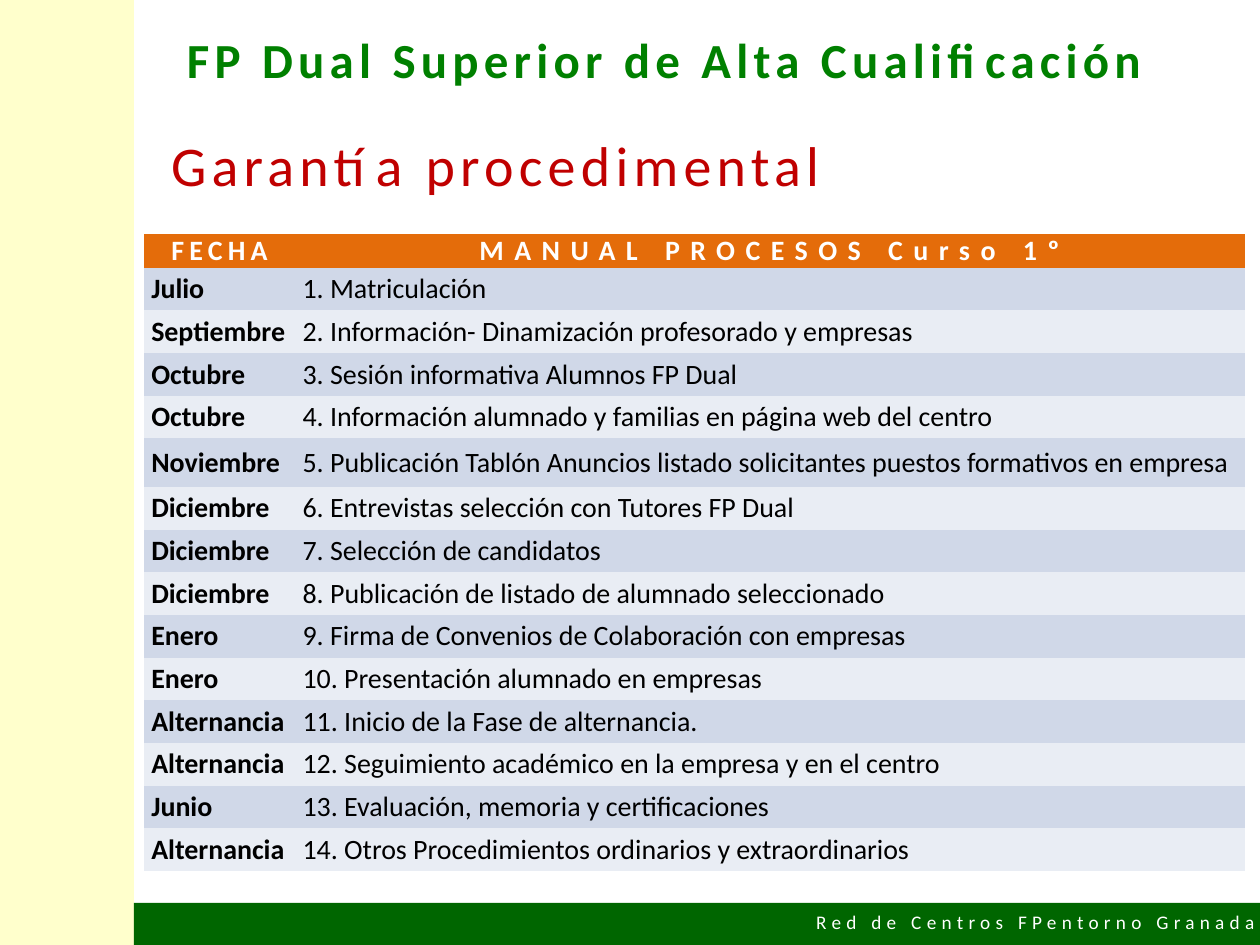
import pptx
import pptx.dml.color
import pptx.enum.shapes
import pptx.enum.text
import pptx.util
from pptx.oxml.ns import qn

Cm, Pt = pptx.util.Cm, pptx.util.Pt
RGBColor = pptx.dml.color.RGBColor
ALIGN = pptx.enum.text.PP_ALIGN
ANCHOR = pptx.enum.text.MSO_ANCHOR

CREAM = RGBColor(0xFF, 0xFF, 0xCC)
DARK_GREEN = RGBColor(0x00, 0x66, 0x00)
GREEN = RGBColor(0x00, 0x80, 0x00)
RED = RGBColor(0xC0, 0x00, 0x00)
ORANGE = RGBColor(0xE4, 0x6C, 0x0A)
WHITE = RGBColor(0xFF, 0xFF, 0xFF)
BLACK = RGBColor(0x00, 0x00, 0x00)
BANDS = (RGBColor(0xD0, 0xD8, 0xE8), RGBColor(0xE9, 0xED, 0xF4))

TITLE = "FP Dual Superior de Alta Cualificación"
SUBTITLE = "Garantía procedimental"
FOOTER = "Red de Centros FPentorno Granada"
HEADER = (("FECHA", 3), ("MANUAL PROCESOS Curso 1º", 6))
STEPS = [
    ("Julio", "Matriculación"),
    ("Septiembre", "Información- Dinamización profesorado y empresas"),
    ("Octubre", "Sesión informativa Alumnos FP Dual"),
    ("Octubre", "Información alumnado y familias en página web del centro"),
    ("Noviembre", "Publicación Tablón Anuncios listado solicitantes puestos formativos en empresa"),
    ("Diciembre", "Entrevistas selección con Tutores FP Dual"),
    ("Diciembre", "Selección de candidatos"),
    ("Diciembre", "Publicación de listado de alumnado seleccionado"),
    ("Enero", "Firma de Convenios de Colaboración con empresas"),
    ("Enero", "Presentación alumnado en empresas"),
    ("Alternancia", "Inicio de la Fase de alternancia."),
    ("Alternancia", "Seguimiento académico en la empresa y en el centro"),
    ("Junio", "Evaluación, memoria y certificaciones"),
    ("Alternancia", "Otros Procedimientos ordinarios y extraordinarios"),
]

SLIDE_W, SLIDE_H = Cm(25.4), Cm(19.05)
SIDE_W = Cm(2.7)
FOOTER_TOP = Cm(18.2)
TABLE_LEFT, TABLE_TOP = Cm(2.9), Cm(4.72)
COL_WIDTHS = Cm(3.05), Cm(19.15)
HEADER_H, ROW_H, TALL_ROW_H = Cm(0.61), Cm(0.86), Cm(0.98)
TALL_STEP = 5
NO_STYLE = "{2D5ABB26-0587-4C30-8999-92F81FD0307C}"


def set_attrs(obj, **values):
    for name, value in values.items():
        setattr(obj, name, value)


def write(tf, text, size, color, bold=False, spacing=0, align=ALIGN.LEFT):
    """Fill the first paragraph; spacing is the gap between letters in points."""
    p = tf.paragraphs[0]
    p.alignment = align
    r = p.add_run()
    r.text = text
    set_attrs(r.font, name="Calibri", size=Pt(size), bold=bold)
    r.font.color.rgb = color
    if spacing:
        r.font._element.set("spc", str(spacing * 100))
    return p


def add_band(s, left, top, width, height, color):
    sp = s.shapes.add_shape(pptx.enum.shapes.MSO_SHAPE.RECTANGLE, left, top, width, height)
    sp.shadow.inherit = False
    sp.fill.solid()
    sp.fill.fore_color.rgb = color
    sp.line.fill.background()


def fill_cell(cell, background, anchor, text, **text_format):
    set_attrs(cell, margin_left=Cm(0.15), margin_right=Cm(0.15), margin_top=0,
              margin_bottom=0, vertical_anchor=anchor)
    cell.fill.solid()
    cell.fill.fore_color.rgb = background
    write(cell.text_frame, text, 16, **text_format)


def add_steps_table(s):
    height = HEADER_H + ROW_H * (len(STEPS) - 1) + TALL_ROW_H
    tbl = s.shapes.add_table(len(STEPS) + 1, len(COL_WIDTHS), TABLE_LEFT, TABLE_TOP,
                             sum(COL_WIDTHS), height).table
    set_attrs(tbl, first_row=False, horz_banding=False)
    tbl._tbl.tblPr.find(qn("a:tableStyleId")).text = NO_STYLE
    for col, width in zip(tbl.columns, COL_WIDTHS):
        col.width = width

    tbl.rows[0].height = HEADER_H
    for c, (text, spacing) in enumerate(HEADER):
        fill_cell(tbl.cell(0, c), ORANGE, ANCHOR.TOP, text, color=WHITE, bold=True,
                  spacing=spacing, align=ALIGN.CENTER)
    for n, (date, step) in enumerate(STEPS, 1):
        tbl.rows[n].height = TALL_ROW_H if n == TALL_STEP else ROW_H
        band = BANDS[(n - 1) % 2]
        fill_cell(tbl.cell(n, 0), band, ANCHOR.MIDDLE, date, color=BLACK, bold=True)
        fill_cell(tbl.cell(n, 1), band, ANCHOR.MIDDLE, f"{n}. {step}", color=BLACK)


def main():
    prs = pptx.Presentation()
    set_attrs(prs, slide_width=SLIDE_W, slide_height=SLIDE_H)
    s = prs.slides.add_slide(prs.slide_layouts.get_by_name("Title Only"))

    add_band(s, 0, 0, SIDE_W, SLIDE_H, CREAM)
    add_band(s, SIDE_W, FOOTER_TOP, SLIDE_W - SIDE_W, SLIDE_H - FOOTER_TOP, DARK_GREEN)

    title = s.shapes.title
    set_attrs(title, left=SIDE_W, top=Cm(0.46), width=Cm(21.4), height=Cm(1.45))
    set_attrs(title.text_frame, word_wrap=True, vertical_anchor=ANCHOR.TOP,
              auto_size=pptx.enum.text.MSO_AUTO_SIZE.NONE)
    write(title.text_frame, TITLE, 28, GREEN, bold=True, spacing=3, align=ALIGN.CENTER)

    tf = s.shapes.add_textbox(Cm(3.2), Cm(2.24), Cm(18.95), Cm(1.78)).text_frame
    tf.word_wrap = True
    write(tf, SUBTITLE, 32, RED, spacing=3).line_spacing = 1.2

    add_steps_table(s)

    tf = s.shapes.add_textbox(SIDE_W, Cm(18.26), SLIDE_W - SIDE_W, Cm(0.79)).text_frame
    set_attrs(tf, word_wrap=True, margin_left=Cm(0.1), margin_right=Cm(0.1),
              margin_top=Cm(0.1), margin_bottom=Cm(0.1))
    write(tf, FOOTER, 11, WHITE, spacing=3, align=ALIGN.RIGHT)

    prs.save("out.pptx")


if __name__ == "__main__":
    main()
